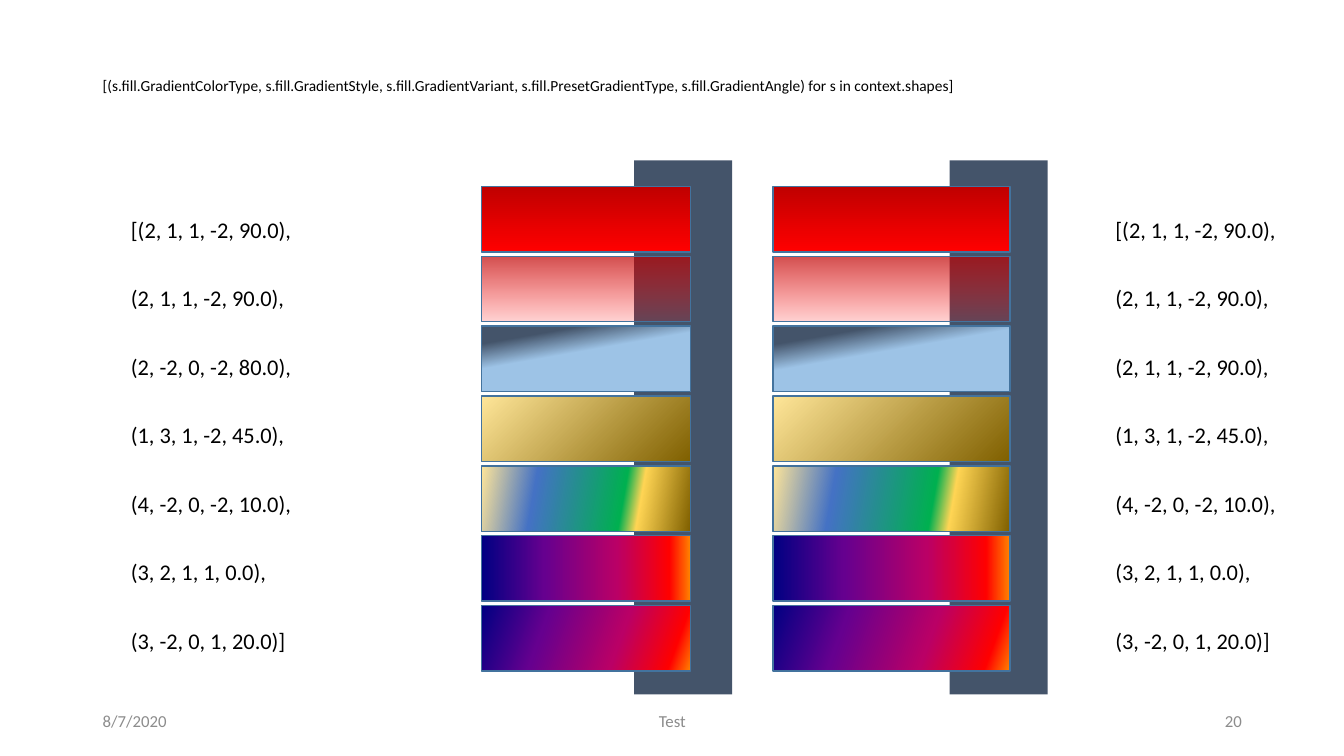
from dataclasses import dataclass

from lxml import etree
from pptx import Presentation
from pptx.dml.color import RGBColor
from pptx.enum.shapes import MSO_SHAPE
from pptx.enum.text import MSO_ANCHOR, PP_ALIGN
from pptx.oxml.ns import qn
from pptx.slide import Slide
from pptx.util import Cm, Pt

RECT = MSO_SHAPE.RECTANGLE
TOP, MIDDLE = MSO_ANCHOR.TOP, MSO_ANCHOR.MIDDLE
LEFT, CENTER, RIGHT = PP_ALIGN.LEFT, PP_ALIGN.CENTER, PP_ALIGN.RIGHT

BLACK = RGBColor(0x00, 0x00, 0x00)
GREY = RGBColor(0x8C, 0x8C, 0x8C)
SLATE = RGBColor(0x44, 0x54, 0x6A)
OUTLINE = RGBColor(0x43, 0x73, 0x9E)
OUTLINE_MULTI = RGBColor(0x41, 0x71, 0x9C)
DARK_RED = RGBColor(0xC0, 0x00, 0x00)
RED = RGBColor(0xFF, 0x00, 0x00)
SKY = RGBColor(0x9D, 0xC3, 0xE6)
CREAM = RGBColor(0xFF, 0xE6, 0x99)
BROWN = RGBColor(0x80, 0x60, 0x00)
BLUE = RGBColor(0x44, 0x72, 0xC4)
GREEN = RGBColor(0x00, 0xB0, 0x50)
GOLD = RGBColor(0xFF, 0xD5, 0x54)
NAVY = RGBColor(0x00, 0x00, 0x82)
PURPLE = RGBColor(0x66, 0x00, 0x8F)
MAGENTA = RGBColor(0xBA, 0x00, 0x66)
ORANGE = RGBColor(0xFF, 0x82, 0x00)

FONT = "Calibri"
BAR_TOP, BAR_HEIGHT, BAR_PITCH = 4.7, 1.65, 1.76


@dataclass
class Stop:
    """A gradient stop; position and opacity in percent."""
    pos: int
    color: RGBColor
    opacity: int = 100


@dataclass
class Gradient:
    """A linear gradient with its clockwise angle in degrees."""
    angle: int
    stops: list[Stop]
    outline: RGBColor = OUTLINE


@dataclass
class Column:
    """A column of bars, the band behind it and its list of values (cm)."""
    bar_left: float
    bar_width: float
    band_left: float
    text_left: float
    third_value: str


@dataclass
class Label:
    """A text box; lengths in cm, size in points."""
    text: str
    left: float
    top: float
    width: float
    height: float
    size: int
    color: RGBColor = BLACK
    align: PP_ALIGN = LEFT
    anchor: MSO_ANCHOR = MIDDLE
    spacing: float = 1.0
    after: int = 0


SUNSET = [Stop(0, NAVY), Stop(30, PURPLE), Stop(65, MAGENTA),
          Stop(90, RED), Stop(100, ORANGE)]
GRADIENTS = [
    Gradient(90, [Stop(0, DARK_RED), Stop(100, RED)]),
    Gradient(90, [Stop(0, DARK_RED, 70), Stop(100, RED, 17)]),
    Gradient(80, [Stop(17, SLATE), Stop(42, SKY)]),
    Gradient(45, [Stop(0, CREAM), Stop(100, BROWN)]),
    Gradient(10, [Stop(0, CREAM), Stop(26, BLUE), Stop(67, GREEN),
                  Stop(75, GOLD), Stop(100, BROWN)], OUTLINE_MULTI),
    Gradient(0, SUNSET),
    Gradient(20, SUNSET),
]
COLUMNS = [
    Column(12.14, 5.26, 15.98, 3.05, "(2, -2, 0, -2, 80.0),"),
    Column(19.48, 5.97, 23.93, 27.86, "(2, 1, 1, -2, 90.0),"),
]
TITLE = ("[(s.fill.GradientColorType, s.fill.GradientStyle, "
         "s.fill.GradientVariant, s.fill.PresetGradientType, "
         "s.fill.GradientAngle) for s in context.shapes]")
LABELS = [
    Label(TITLE, 2.34, 1.02, 29.21, 2.31, 11, spacing=0.9),
    Label("8/7/2020", 2.34, 17.65, 7.62, 1.02, 12, GREY),
    Label("Test", 11.23, 17.65, 11.43, 1.02, 12, GREY, CENTER),
    Label("20", 23.93, 17.65, 7.62, 1.02, 12, GREY, RIGHT),
]


def apply(target: object, values: dict) -> None:
    """Set each attribute of the target from a dict."""
    for name, value in values.items():
        setattr(target, name, value)


def add_band(s: Slide, col: Column) -> None:
    """Draw the slate band behind a column of bars."""
    sp = s.shapes.add_shape(RECT, Cm(col.band_left), Cm(4.04), Cm(2.47), Cm(13.46))
    sp.shadow.inherit = False
    sp.fill.solid()
    sp.fill.fore_color.rgb = SLATE
    sp.line.fill.background()


def add_bar(s: Slide, col: Column, row: int, grad: Gradient) -> None:
    """Draw one outlined gradient bar in its row."""
    sp = s.shapes.add_shape(RECT, Cm(col.bar_left), Cm(BAR_TOP + row * BAR_PITCH),
                            Cm(col.bar_width), Cm(BAR_HEIGHT))
    sp.shadow.inherit = False
    sp.line.color.rgb = grad.outline
    sp.line.width = Pt(1)
    sp.fill.gradient()
    sp.fill.gradient_angle = -grad.angle % 360
    stops = sp._element.spPr.find(qn("a:gradFill")).find(qn("a:gsLst"))
    for old in list(stops):
        stops.remove(old)
    for stop in grad.stops:
        gs = etree.SubElement(stops, qn("a:gs"), pos=str(stop.pos * 1000))
        clr = etree.SubElement(gs, qn("a:srgbClr"), val=str(stop.color))
        if stop.opacity < 100:
            etree.SubElement(clr, qn("a:alpha"), val=str(stop.opacity * 1000))


def add_label(s: Slide, label: Label) -> None:
    """Write one text box."""
    sp = s.shapes.add_textbox(Cm(label.left), Cm(label.top),
                              Cm(label.width), Cm(label.height))
    tf = sp.text_frame
    apply(tf, {"word_wrap": True, "vertical_anchor": label.anchor})
    p = tf.paragraphs[0]
    p.text = label.text
    apply(p, {"alignment": label.align, "line_spacing": label.spacing,
              "space_after": Pt(label.after)})
    for r in p.runs:
        apply(r.font, {"name": FONT, "size": Pt(label.size)})
        r.font.color.rgb = label.color


def add_values(s: Slide, col: Column) -> None:
    """Write the gradient values of a column, one line per bar."""
    lines = ["[(2, 1, 1, -2, 90.0),", "(2, 1, 1, -2, 90.0),", col.third_value,
             "(1, 3, 1, -2, 45.0),", "(4, -2, 0, -2, 10.0),",
             "(3, 2, 1, 1, 0.0),", "(3, -2, 0, 1, 20.0)]"]
    add_label(s, Label("\v".join(lines), col.text_left, 4.27, 4.62, 12.42, 16,
                       anchor=TOP, spacing=2.55, after=6))


prs = Presentation()
apply(prs, {"slide_width": Cm(33.87), "slide_height": Cm(19.05)})
s = prs.slides.add_slide(prs.slide_layouts[6])
for col in COLUMNS:
    add_band(s, col)
for label in LABELS:
    add_label(s, label)
for col in COLUMNS:
    for row, grad in enumerate(GRADIENTS):
        add_bar(s, col, row, grad)
    add_values(s, col)
prs.save("out.pptx")
